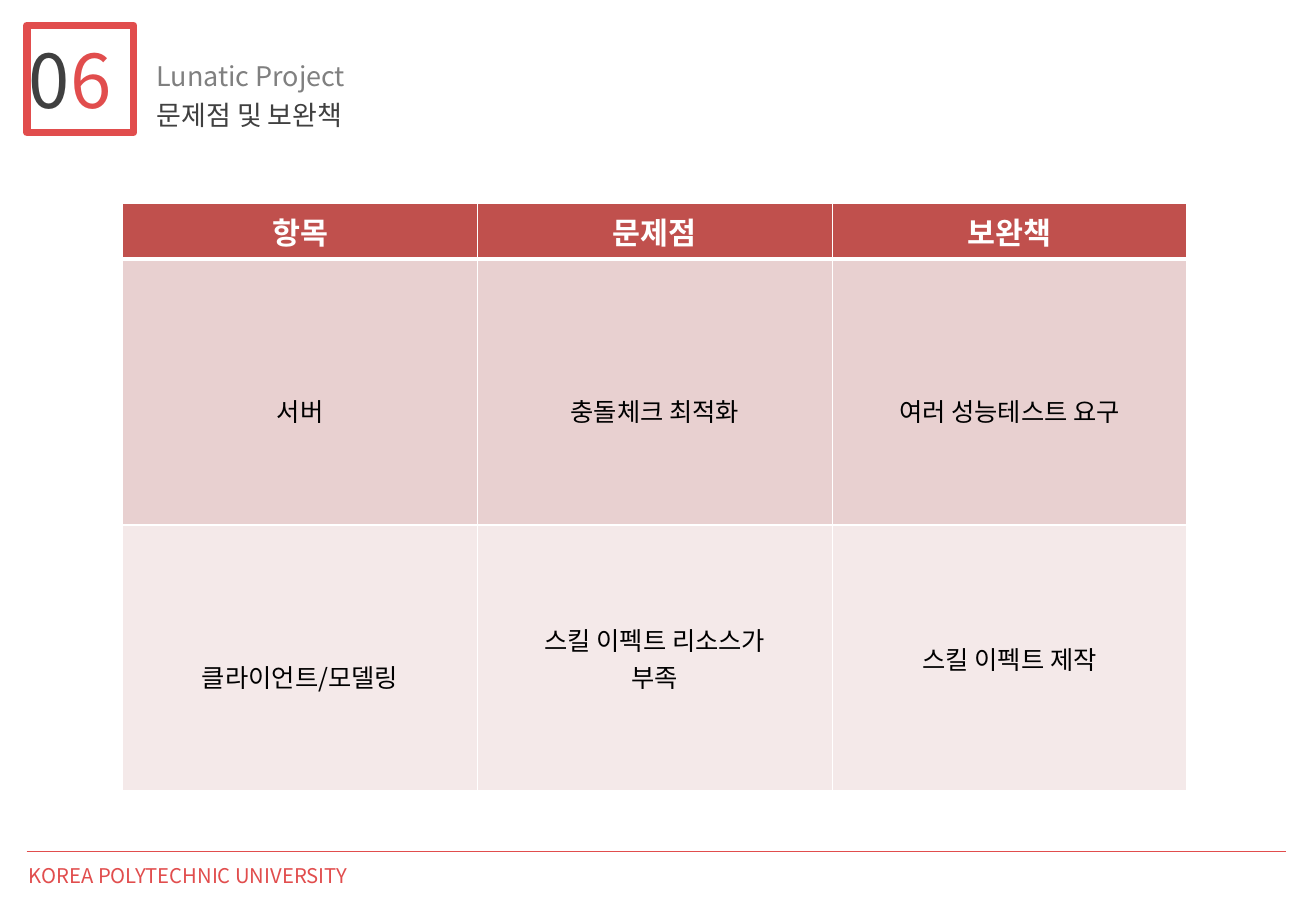
"""Build the problems and remedies slide with its header, table and footer."""
from dataclasses import dataclass

from lxml import etree
from pptx import Presentation
from pptx.dml.color import RGBColor
from pptx.enum.shapes import MSO_CONNECTOR, MSO_SHAPE
from pptx.enum.text import MSO_ANCHOR, MSO_AUTO_SIZE, PP_ALIGN
from pptx.oxml.ns import qn
from pptx.util import Inches, Pt

RECTANGLE = MSO_SHAPE.RECTANGLE
STRAIGHT = MSO_CONNECTOR.STRAIGHT
TOP, MIDDLE = MSO_ANCHOR.TOP, MSO_ANCHOR.MIDDLE
LEFT, CENTER = PP_ALIGN.LEFT, PP_ALIGN.CENTER
NO_AUTOFIT = MSO_AUTO_SIZE.NONE

FONT = "Noto Sans CJK KR"
RED, DARK, GRAY, WHITE, BLACK = "E14D4D", "404040", "808080", "FFFFFF", "000000"
COLUMN_WIDTH = 2.92
CELL_MARGIN, LOWERED_MARGIN = 0.05, 0.35


@dataclass
class Label:
    left: float
    top: float
    width: float
    height: float
    size: float
    runs: list[tuple[str, str]]


@dataclass
class Row:
    height: float
    fill: str
    color: str
    size: float
    bold: bool
    anchor: MSO_ANCHOR
    top_line: float
    bottom_line: float
    texts: list[str]
    lowered: int = 0


TITLE = Label(1.19, 0.76, 1.92, 0.37, 16, [("문제점 및 보완책", DARK)])
LABELS = [
    Label(0.14, 0.23, 1.02, 0.84, 44, [("0", DARK), ("6", RED)]),
    Label(1.19, 0.44, 2.07, 0.37, 16, [("Lunatic Project", GRAY)]),
    Label(0.14, 7.06, 3.7, 0.3, 12, [("KOREA POLYTECHNIC UNIVERSITY", RED)]),
]
ROWS = [
    Row(0.44, "C0504D", WHITE, 18, True, TOP, 1, 3, ["항목", "문제점", "보완책"]),
    Row(2.19, "E8D0D0", BLACK, 15, False, MIDDLE, 3, 1,
        ["서버", "충돌체크 최적화", "여러 성능테스트 요구"], lowered=3),
    Row(2.19, "F4E9E9", BLACK, 15, False, MIDDLE, 1, 1,
        ["클라이언트/모델링", "스킬 이펙트 리소스가\n부족", "스킬 이펙트 제작"], lowered=1),
]


def rgb(color: str) -> RGBColor:
    """Turn a hex string into a colour."""
    return RGBColor.from_string(color)


def format_paragraph(paragraph, size: float, color: str, bold: bool, alignment) -> None:
    """Set the alignment and the font of a whole paragraph, Korean script included."""
    paragraph.alignment = alignment
    font = paragraph.font
    font.name, font.size, font.bold = FONT, Pt(size), bold
    font.color.rgb = rgb(color)
    properties = paragraph._p.find(".//" + qn("a:defRPr"))
    etree.SubElement(properties, qn("a:ea"), typeface=FONT)


def write_label(shape, label: Label) -> None:
    """Place a text shape and fill it with its coloured runs."""
    shape.left, shape.top = Inches(label.left), Inches(label.top)
    shape.width, shape.height = Inches(label.width), Inches(label.height)
    frame = shape.text_frame
    frame.word_wrap, frame.auto_size = True, NO_AUTOFIT
    frame.vertical_anchor = TOP
    paragraph = frame.paragraphs[0]
    format_paragraph(paragraph, label.size, label.runs[0][1], False, LEFT)
    for text, color in label.runs:
        run = paragraph.add_run()
        run.text = text
        if color != label.runs[0][1]:
            run.font.color.rgb = rgb(color)


def add_borders(cell, top: float, bottom: float) -> None:
    """Give a cell white borders of the given widths in points."""
    properties = cell._tc.get_or_add_tcPr()
    for side, width in (("L", 1), ("R", 1), ("T", top), ("B", bottom)):
        line = etree.SubElement(properties, qn(f"a:ln{side}"), w=str(Pt(width)))
        fill = etree.SubElement(line, qn("a:solidFill"))
        etree.SubElement(fill, qn("a:srgbClr"), val=WHITE)


def add_problem_table(slide) -> None:
    """Draw the table of problems and remedies."""
    columns = len(ROWS[0].texts)
    table = slide.shapes.add_table(
        len(ROWS), columns, Inches(1.01), Inches(1.67),
        Inches(columns * COLUMN_WIDTH), Inches(sum(row.height for row in ROWS))).table
    for column in table.columns:
        column.width = Inches(COLUMN_WIDTH)
    for row_index, row in enumerate(ROWS):
        table.rows[row_index].height = Inches(row.height)
        for column_index, text in enumerate(row.texts):
            cell = table.cell(row_index, column_index)
            add_borders(cell, row.top_line, row.bottom_line)
            cell.fill.solid()
            cell.fill.fore_color.rgb = rgb(row.fill)
            cell.vertical_anchor = row.anchor
            lowered = column_index < row.lowered
            cell.margin_top = Inches(LOWERED_MARGIN if lowered else CELL_MARGIN)
            cell.text_frame.text = text
            for paragraph in cell.text_frame.paragraphs:
                format_paragraph(paragraph, row.size, row.color, row.bold, CENTER)


def add_number_frame(slide) -> None:
    """Draw the square around the section number."""
    frame = slide.shapes.add_shape(
        RECTANGLE, Inches(0.22), Inches(0.21), Inches(0.88), Inches(0.88))
    frame.shadow.inherit = False
    frame.fill.background()
    frame.line.color.rgb = rgb(RED)
    frame.line.width = Pt(4.5)


def add_footer_line(slide) -> None:
    """Draw the rule above the footer."""
    rule = slide.shapes.add_connector(
        STRAIGHT, Inches(0.22), Inches(7.01), Inches(10.58), Inches(7.01))
    rule.line.color.rgb = rgb(RED)
    rule.line.width = Pt(1)
    etree.SubElement(rule._element.spPr, qn("a:effectLst"))


def main() -> None:
    """Build and save the presentation."""
    presentation = Presentation()
    presentation.slide_width, presentation.slide_height = Inches(10.83), Inches(7.5)
    slide = presentation.slides.add_slide(presentation.slide_layouts.get_by_name("Title Only"))
    write_label(slide.shapes.title, TITLE)
    add_number_frame(slide)
    add_footer_line(slide)
    for label in LABELS:
        box = slide.shapes.add_textbox(0, 0, 0, 0)
        write_label(box, label)
    add_problem_table(slide)
    presentation.save("out.pptx")


if __name__ == "__main__":
    main()
